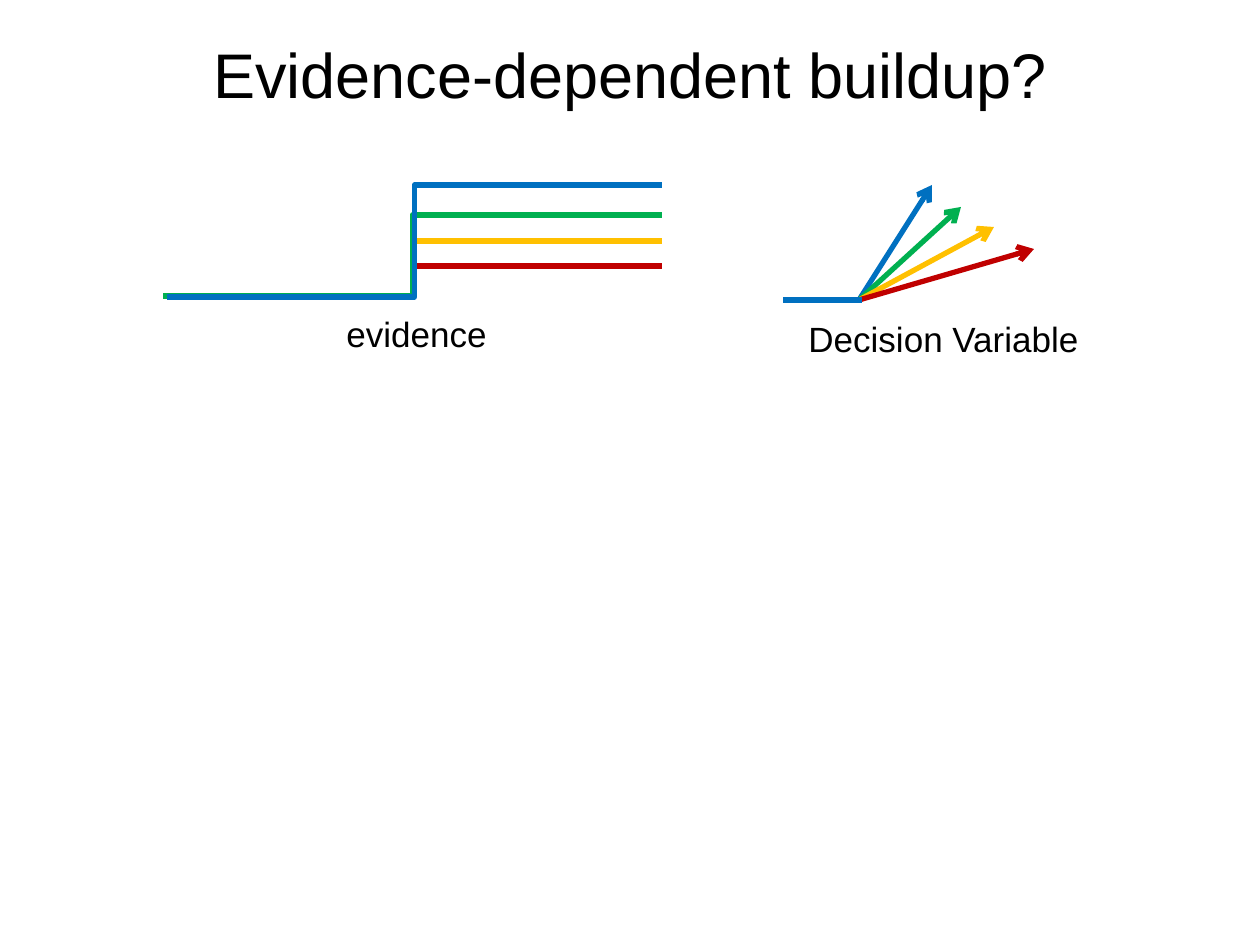
from pptx import Presentation
from pptx.dml.color import RGBColor
from pptx.enum.shapes import MSO_CONNECTOR as Route
from pptx.enum.text import MSO_ANCHOR as Anchor, MSO_AUTO_SIZE as AutoSize, PP_ALIGN as Align
from pptx.oxml.ns import qn
from pptx.util import Inches, Pt
from lxml.etree import SubElement

THEME = {
    "font": "Arial", "text": "000000", "title_size": 36, "label_size": 20, "line_width": 3,
    "red": "C00000", "yellow": "FFC000", "green": "00B050", "blue": "0070C0",
}

TITLE = ("Evidence-dependent buildup?", (148, 19, 964, 108))
LABELS = [
    ("evidence", (334, 306, 169, 55)),
    ("Decision Variable", (796, 311, 299, 55)),
]
STEP_END = 659
EVIDENCE_STEPS = [
    ("red", (166, 296), 266),
    ("yellow", (166, 296), 241),
    ("green", (166, 296), 215),
    ("blue", (170, 297), 185),
]
ONSET = (859, 300)
BASELINE_START = (786, 300)
DECISION_TIPS = [
    ("blue", (932, 185)),
    ("green", (961, 207)),
    ("yellow", (994, 227)),
    ("red", (1034, 249)),
]

SCALE = Inches(1) / 126


def emu(*lengths):
    return [round(length * SCALE) for length in lengths]


def write(box, text, size, align=Align.LEFT, anchor=Anchor.TOP, wrap=False):
    frame = box.text_frame
    frame.word_wrap = wrap
    frame.auto_size = AutoSize.NONE if wrap else AutoSize.SHAPE_TO_FIT_TEXT
    frame.vertical_anchor = anchor
    frame.margin_left = frame.margin_right = Inches(0.1)
    frame.margin_top = frame.margin_bottom = Inches(0.05)
    frame.text = text
    paragraph = frame.paragraphs[0]
    paragraph.alignment = align
    font = paragraph.runs[0].font
    font.name, font.size = THEME["font"], Pt(size)
    font.color.rgb = RGBColor.from_string(THEME["text"])


def draw(slide, color, start, end, route=Route.STRAIGHT, arrow=False):
    trace = slide.shapes.add_connector(route, *emu(*start, *end))
    trace.line.color.rgb = RGBColor.from_string(THEME[color])
    trace.line.width = Pt(THEME["line_width"])
    properties = trace._element.spPr
    stroke = properties.find(qn("a:ln"))
    if arrow:
        SubElement(stroke, qn("a:tailEnd"), type="arrow")
    else:
        stroke.set("cap", "sq")
    SubElement(properties, qn("a:effectLst"))


def main():
    deck = Presentation()
    deck.slide_width, deck.slide_height = Inches(10), Inches(7.5)
    slide = deck.slides.add_slide(deck.slide_layouts[5])

    heading, place = TITLE
    title = slide.shapes.title
    title.left, title.top, title.width, title.height = emu(*place)
    write(title, heading, THEME["title_size"], align=Align.CENTER, anchor=Anchor.MIDDLE, wrap=True)

    for color, start, level in EVIDENCE_STEPS:
        draw(slide, color, start, (STEP_END, level), route=Route.ELBOW)
    for color, tip in DECISION_TIPS:
        draw(slide, color, ONSET, tip, arrow=True)
    draw(slide, "blue", BASELINE_START, ONSET)

    for label, place in LABELS:
        caption = slide.shapes.add_textbox(*emu(*place))
        write(caption, label, THEME["label_size"])

    deck.save("out.pptx")


if __name__ == "__main__":
    main()
